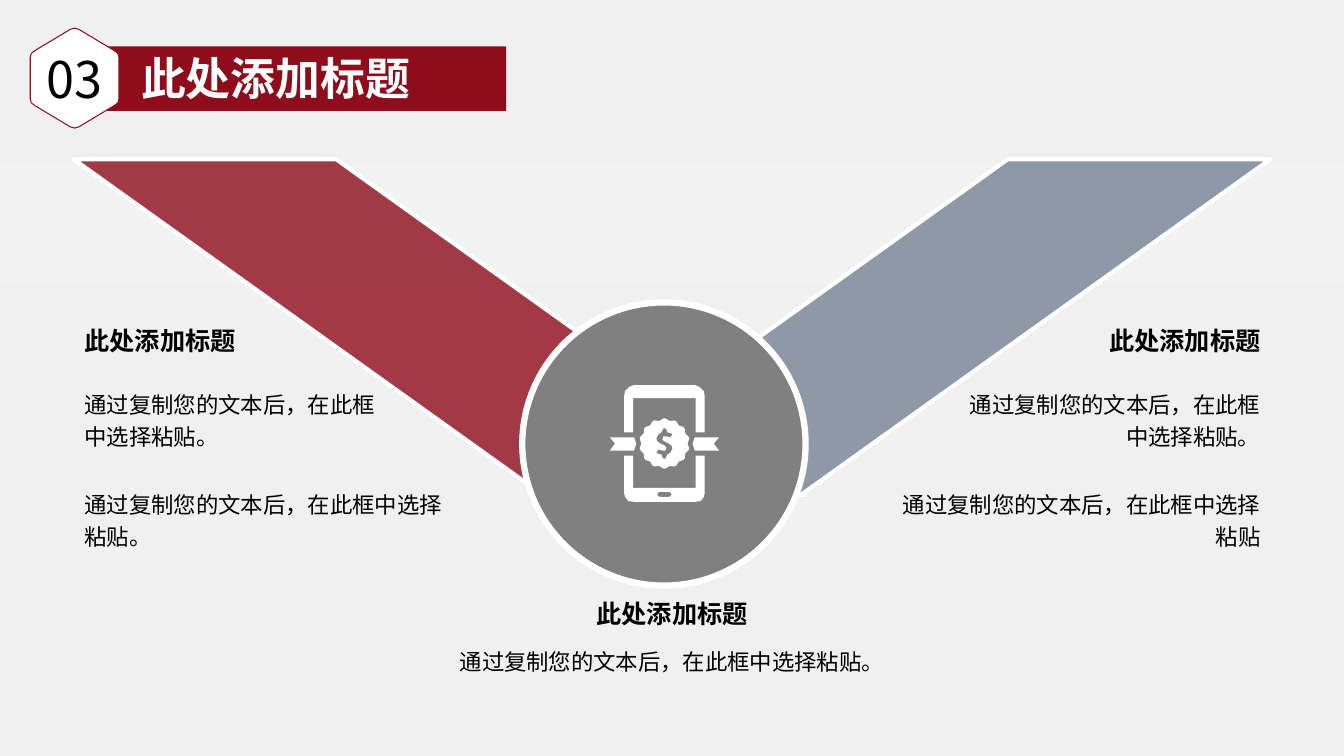
import math
from lxml import etree
from pptx import Presentation
from pptx import util as u
from pptx.dml.color import RGBColor
from pptx.enum import shapes, text
from pptx.oxml.ns import qn

COLORS = {"page": "F0F0F0", "band": "F2F2F2", "red": "8F0C1B", "slate": "768395",
          "grey": "808080", "white": "FFFFFF", "black": "000000"}
FONT = "Noto Sans CJK SC"
LEFT, CENTER, RIGHT = text.PP_ALIGN.LEFT, text.PP_ALIGN.CENTER, text.PP_ALIGN.RIGHT
TOP, MIDDLE = text.MSO_ANCHOR.TOP, text.MSO_ANCHOR.MIDDLE


def color(name):
    return RGBColor.from_string(COLORS[name])


def mirrored(half, axis):
    """Close a right-hand half outline, given as offsets from a vertical axis."""
    return ([(axis + x, y) for x, y in half]
            + [(axis - x, y) for x, y in reversed(half)])


class SlideBuilder:
    def __init__(self, page):
        self.page = page
        fill = page.background.fill
        fill.solid()
        fill.fore_color.rgb = color("page")

    def paint(self, shape, fill, line=None, width=0, opacity=None):
        shape.shadow.inherit = False
        shape.fill.solid()
        shape.fill.fore_color.rgb = color(fill)
        if opacity:
            tint = shape._element.spPr.find(qn("a:solidFill"))[0]
            etree.SubElement(tint, qn("a:alpha"), val=str(opacity * 1000))
        if line:
            shape.line.color.rgb = color(line)
            shape.line.width = u.Pt(width)
        else:
            shape.line.fill.background()
        return shape

    def shape(self, kind, box, fill, **style):
        shape = self.page.shapes.add_shape(kind, *map(u.Inches, box))
        return self.paint(shape, fill, **style)

    def outline(self, contours, fill, **style):
        contours = [[(u.Inches(x), u.Inches(y)) for x, y in c] for c in contours]
        builder = self.page.shapes.build_freeform(*contours[0][0])
        for number, points in enumerate(contours):
            if number:
                builder.move_to(*points[0])
            builder.add_line_segments(points[1:], close=True)
        return self.paint(builder.convert_to_shape(), fill, **style)

    def set_words(self, shape, words, size, align, anchor=MIDDLE, bold=False,
                  ink="black", spacing=1.0, wrap=True):
        frame = shape.text_frame
        frame.text = words
        frame.auto_size = text.MSO_AUTO_SIZE.NONE
        frame.word_wrap = wrap
        frame.vertical_anchor = anchor
        para = frame.paragraphs[0]
        para.alignment = align
        para.line_spacing = spacing
        span = para.runs[0]
        span.font.size = u.Pt(size)
        span.font.bold = bold
        span.font.name = FONT
        span.font.color.rgb = color(ink)
        etree.SubElement(span.font._element, qn("a:ea"), typeface=FONT)

    def heading(self, box, words, align):
        label = self.page.shapes.add_textbox(*map(u.Inches, box))
        self.set_words(label, words, 18, align, bold=True)

    def body(self, box, words, align):
        label = self.page.shapes.add_textbox(*map(u.Inches, box))
        self.set_words(label, words, 16, align, anchor=TOP, spacing=1.2)

    def title(self, box, words):
        title = self.page.shapes.title
        title.left, title.top, title.width, title.height = map(u.Inches, box)
        self.set_words(title, words, 32, RIGHT, bold=True, ink="white", wrap=False)
        self.page.shapes._spTree.append(title._element)  # bring to front


def phone_icon():
    """Contours of a phone with a ribbon and a scalloped dollar badge."""
    axis, middle = 6.59, 4.4
    top = [(0, 3.82), (.3, 3.82), (.35, 3.84), (.39, 3.88), (.4, 3.93),
           (.4, 4.29), (.31, 4.29), (.31, 3.95), (0, 3.95)]
    base = [(0, 4.84), (.31, 4.84), (.31, 4.52), (.4, 4.52), (.4, 4.89),
            (.39, 4.93), (.36, 4.97), (.3, 4.98), (0, 4.98)]
    button = [(0, 4.88), (.05, 4.88), (.07, 4.9), (.07, 4.91), (.05, 4.93), (0, 4.93)]
    ribbon = [(.3, 4.34), (.54, 4.34), (.49, 4.4), (.54, 4.47), (.3, 4.47), (.28, 4.4)]
    ribbons = [[(axis + side * x, y) for x, y in ribbon] for side in (-1, 1)]

    lobes, steps = 14, 112
    badge = []
    for step in range(steps):
        angle = 2 * math.pi * step / steps
        radius = .24 + .01 * math.cos(lobes * angle)
        badge.append((axis + radius * math.sin(angle), middle - radius * math.cos(angle)))

    # The dollar sign is one half turned about the badge centre
    stroke = [(-.01, -.15), (-.02, -.13), (-.03, -.11), (-.06, -.09), (-.08, -.05),
              (-.07, -.02), (-.04, 0), (0, .02), (.02, .04), (.01, .07), (-.02, .07),
              (-.06, .06), (-.08, .09), (-.07, .1), (-.03, .11), (-.02, .14), (-.01, .15)]
    dollar = [(axis + turn * x, middle + turn * y) for turn in (1, -1) for x, y in stroke]
    return [mirrored(half, axis) for half in (top, base, button)] + ribbons + [badge, dollar]


def main():
    deck = Presentation()
    deck.slide_width, deck.slide_height = u.Inches(13.33), u.Inches(7.5)
    slide = SlideBuilder(deck.slides.add_slide(deck.slide_layouts[5]))
    kinds = shapes.MSO_SHAPE
    heading, sentence = "此处添加标题", "通过复制您的文本后，在此框中选择粘贴。"

    # Background band
    slide.shape(kinds.RECTANGLE, (0, 1.61, 13.33, 1.22), "band")

    # Two arms meeting at the central disc
    for left, fill, flipped in ((.73, "red", True), (5.34, "slate", False)):
        arm = slide.shape(kinds.PARALLELOGRAM, (left, 1.58, 7.26, 3.33), fill,
                          line="white", width=3, opacity=80)
        arm.adjustments[0] = 1.398
        if flipped:
            arm._element.spPr.find(qn("a:xfrm")).set("flipH", "1")
    slide.shape(kinds.OVAL, (5.18, 3, 2.81, 2.81), "grey", line="white", width=4.5)
    slide.outline(phone_icon(), "white")

    # Text columns, each against its outer edge
    slide.body((4.34, 6.33, 4.65, .57), sentence, CENTER)
    slide.heading((4.34, 5.85, 4.65, .48), heading, CENTER)
    for align, closing in ((LEFT, sentence), (RIGHT, sentence.rstrip("。"))):
        def column(top, width, height):
            left = .74 if align == LEFT else 12.6 - width
            return left, top, width, height
        slide.body(column(3.78, 3.1, .87), sentence, align)
        slide.heading(column(3.14, 2.33, .48), heading, align)
        slide.body(column(4.77, 3.95, .87), closing, align)

    # Title bar with numbered hexagon
    slide.shape(kinds.RECTANGLE, (.99, .46, 4.03, .64), "red")
    corner = [(0, .28), (.04, .29), (.39, .5), (.43, .53), (.44, .57),
              (.44, .98), (.43, 1.02), (.39, 1.05), (.04, 1.26), (0, 1.27)]
    hexagon = slide.outline([mirrored(corner, .74)], "white", line="red")
    slide.set_words(hexagon, "03", 36, CENTER)
    slide.title((1.28, .45, 2.89, .64), heading)

    deck.save("out.pptx")


if __name__ == "__main__":
    main()
